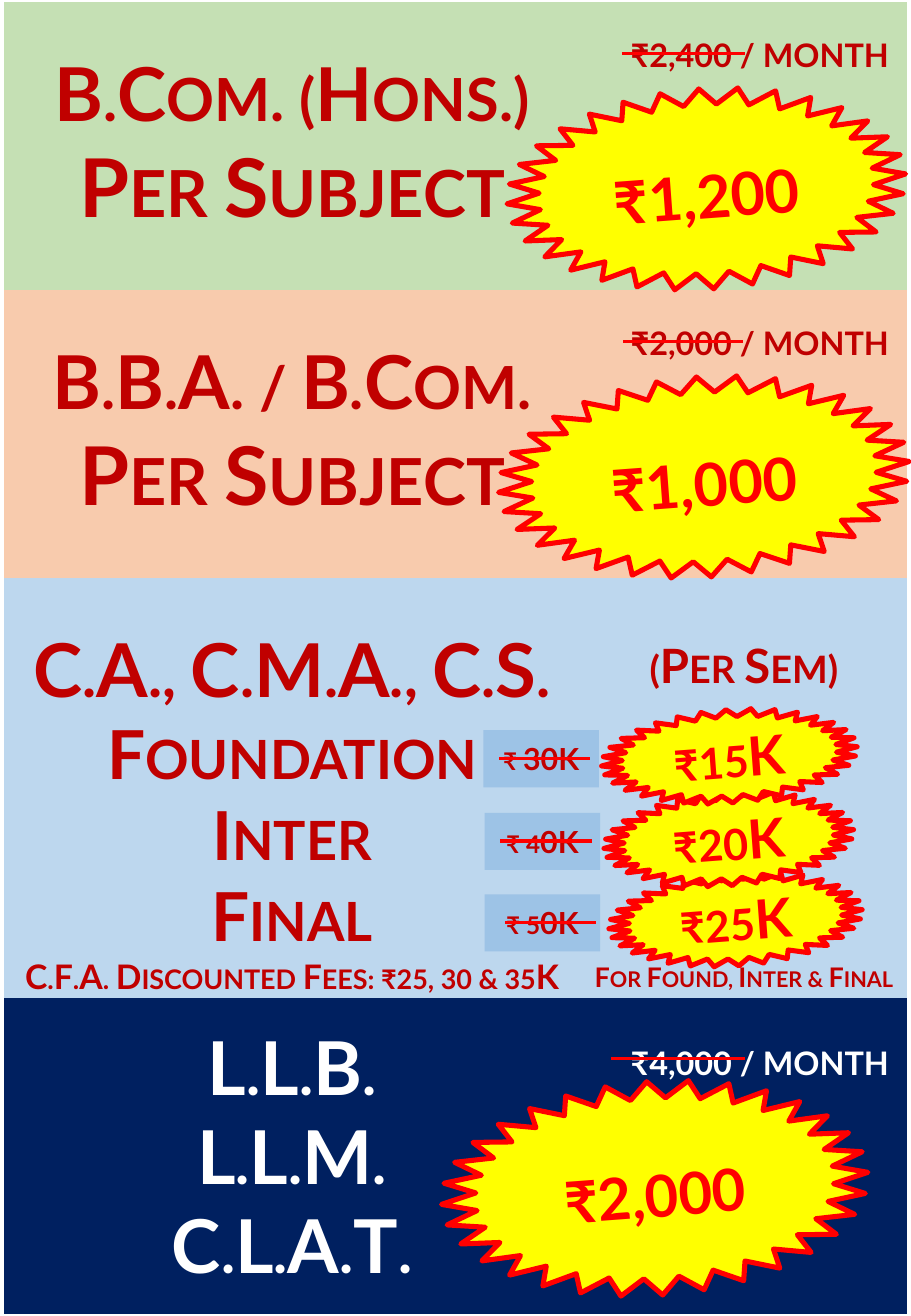
from dataclasses import dataclass

from pptx import Presentation, util as u
from pptx.dml.color import RGBColor
from pptx.enum import shapes, text
from pptx.oxml import parse_xml
from pptx.oxml.ns import nsdecls, qn

# The slide is a grid of 750 columns by 1083 rows
COLS, ROWS = 750, 1083
CELL = u.Inches(7.5) // COLS
FONT = "Lato"
NO_STYLE = "{2D5ABB26-0587-4C30-8999-92F81FD0307C}"

CRIMSON = RGBColor(0xC0, 0x00, 0x00)
RED = RGBColor(0xFF, 0x00, 0x00)
YELLOW = RGBColor(0xFF, 0xFF, 0x00)
WHITE = RGBColor(0xFF, 0xFF, 0xFF)
GREEN = RGBColor(0xC5, 0xE0, 0xB4)
PEACH = RGBColor(0xF8, 0xCB, 0xAD)
SKY = RGBColor(0xBD, 0xD7, 0xEE)
CHIP_BLUE = RGBColor(0x9D, 0xC3, 0xE6)
NAVY = RGBColor(0x00, 0x20, 0x60)

LEFT, CENTER, RIGHT = 1, text.PP_ALIGN.CENTER, text.PP_ALIGN.RIGHT
TOP, MIDDLE = text.MSO_ANCHOR.TOP, text.MSO_ANCHOR.MIDDLE


@dataclass
class Line:
    words: str
    size: int
    spacing: float = 1.0
    before: float = 0


@dataclass
class Band:
    height: int
    fill: RGBColor
    color: RGBColor
    courses: list[Line]
    notes: list[Line]
    note_top: int
    note_align: int = RIGHT
    anchor: int = TOP


@dataclass
class Burst:
    left: int
    top: int
    width: int
    height: int
    price: str
    size: int


@dataclass
class Strike:
    left: int
    right: int
    row: int


@dataclass
class Chip:
    left: int
    top: int
    small: str
    plain: str
    strike_left: int


BANDS = [
    Band(237, GREEN, CRIMSON,
         [Line("B.Com. (Hons.)", 44, 1.5), Line("Per Subject", 48)],
         [Line("₹2,400 / month", 24)], 21),
    Band(237, PEACH, CRIMSON,
         [Line("B.B.A. / B.Com.", 44, 1.5), Line("Per Subject", 48)],
         [Line("₹2,000 / month", 24)], 21),
    Band(345, SKY, CRIMSON,
         [Line("C.A., C.M.A., C.S.", 44, 1.5), Line("Foundation", 40),
          Line("Inter", 40), Line("Final", 40),
          Line("C.F.A. Discounted Fees: ₹25, 30 & 35K", 20)],
         [Line("(Per Sem)", 28), Line("For Found, Inter & Final", 16, before=158.4)],
         48, CENTER),
    Band(260, NAVY, WHITE,
         [Line(name, 44) for name in ("L.L.B.", "L.L.M.", "C.L.A.T.")],
         [Line("₹4,000 / month", 24)], 31, anchor=MIDDLE),
]
MONTHLY_STRIKES = [Strike(512, 613, 44), Strike(513, 612, 281), Strike(503, 613, 871)]
CHIPS = [
    Chip(399, 736, "₹ 5", "0K", 416),
    Chip(399, 669, "₹ 4", "0K", 412),
    Chip(398, 601, "₹ ", "30K", 411),
]
BURSTS = [
    Burst(417, 73, 329, 165, "₹1,200", 44),
    Burst(363, 890, 352, 176, "₹2,000", 43),
    Burst(410, 310, 339, 165, "₹1,000", 44),
    Burst(501, 718, 209, 77, "₹25K", 32),
    Burst(497, 652, 206, 77, "₹20K", 32),
    Burst(495, 584, 211, 77, "₹15K", 32),
]


def style_run(r, size: float, color: RGBColor, small_caps: bool = True) -> None:
    r.font.name, r.font.size, r.font.bold = FONT, u.Pt(size), True
    r.font.color.rgb = color
    if small_caps:
        r._r.get_or_add_rPr().set("cap", "small")


def fill_cell(cell, lines: list[Line], band: Band, align: int, anchor: int) -> None:
    cell.fill.solid()
    cell.fill.fore_color.rgb = band.fill
    cell.vertical_anchor = anchor
    cell.margin_left = cell.margin_right = cell.margin_top = CELL
    cell.margin_bottom = 0
    tf = cell.text_frame
    tf.text = "\n".join(line.words for line in lines)
    for p, line in zip(tf.paragraphs, lines):
        p.alignment = align
        if line.spacing != 1:
            p.line_spacing = line.spacing
        if line.before:
            p.space_before = u.Pt(line.before)
        style_run(p.runs[0], line.size, band.color)


def add_bands(s) -> None:
    height = sum(band.height for band in BANDS)
    frame = s.shapes.add_table(len(BANDS), 2, 3 * CELL, 2 * CELL, 744 * CELL, height * CELL)
    table = frame.table
    table.first_row = table.horz_banding = False
    table._tbl.tblPr.find(qn("a:tableStyleId")).text = NO_STYLE
    for column, width in zip(table.columns, (475, 269)):
        column.width = width * CELL
    for i, band in enumerate(BANDS):
        table.rows[i].height = band.height * CELL
        fill_cell(table.cell(i, 0), band.courses, band, CENTER, band.anchor)
        note = table.cell(i, 1)
        fill_cell(note, band.notes, band, band.note_align, TOP)
        note.margin_top = band.note_top * CELL
        if band.note_align == RIGHT:
            note.margin_right = 15 * CELL


def add_box(s, kind, left: int, top: int, width: int, height: int, fill: RGBColor):
    sp = s.shapes.add_shape(kind, left * CELL, top * CELL, width * CELL, height * CELL)
    sp.shadow.inherit = False
    sp.fill.solid()
    sp.fill.fore_color.rgb = fill
    sp.line.fill.background()
    sp.text_frame.vertical_anchor = MIDDLE
    sp.text_frame.paragraphs[0].alignment = CENTER
    return sp


def add_burst(s, burst: Burst) -> None:
    sp = add_box(s, shapes.MSO_SHAPE.STAR_32_POINT, burst.left, burst.top,
                 burst.width, burst.height, YELLOW)
    sp.adjustments[0] = 0.42
    sp.rotation = -4.3
    sp.line.color.rgb, sp.line.width = RED, u.Pt(3)
    p = sp.text_frame.paragraphs[0]
    p.text = burst.price
    style_run(p.runs[0], burst.size, RED)


def add_strike(s, strike: Strike) -> None:
    line = s.shapes.add_connector(shapes.MSO_CONNECTOR.STRAIGHT, strike.left * CELL,
                                  strike.row * CELL, strike.right * CELL, strike.row * CELL)
    line.line.color.rgb, line.line.width = RED, u.Pt(2)
    line._element.spPr.append(parse_xml(f"<a:effectLst {nsdecls('a')}/>"))


def add_chip(s, chip: Chip) -> None:
    sp = add_box(s, shapes.MSO_SHAPE.RECTANGLE, chip.left, chip.top, 95, 47, CHIP_BLUE)
    p = sp.text_frame.paragraphs[0]
    for words, small_caps in ((chip.small, True), (chip.plain, False)):
        r = p.add_run()
        r.text = words
        style_run(r, 18, CRIMSON, small_caps)
    add_strike(s, Strike(chip.strike_left, chip.strike_left + 75, chip.top + 23))


def main() -> None:
    prs = Presentation()
    prs.slide_width, prs.slide_height = COLS * CELL, ROWS * CELL
    s = prs.slides.add_slide(prs.slide_layouts[6])
    # Course bands with monthly fees
    add_bands(s)
    # Crossed-out old prices
    for strike in MONTHLY_STRIKES:
        add_strike(s, strike)
    for chip in CHIPS:
        add_chip(s, chip)
    # Offer prices
    for burst in BURSTS:
        add_burst(s, burst)
    prs.save("out.pptx")


if __name__ == "__main__":
    main()
